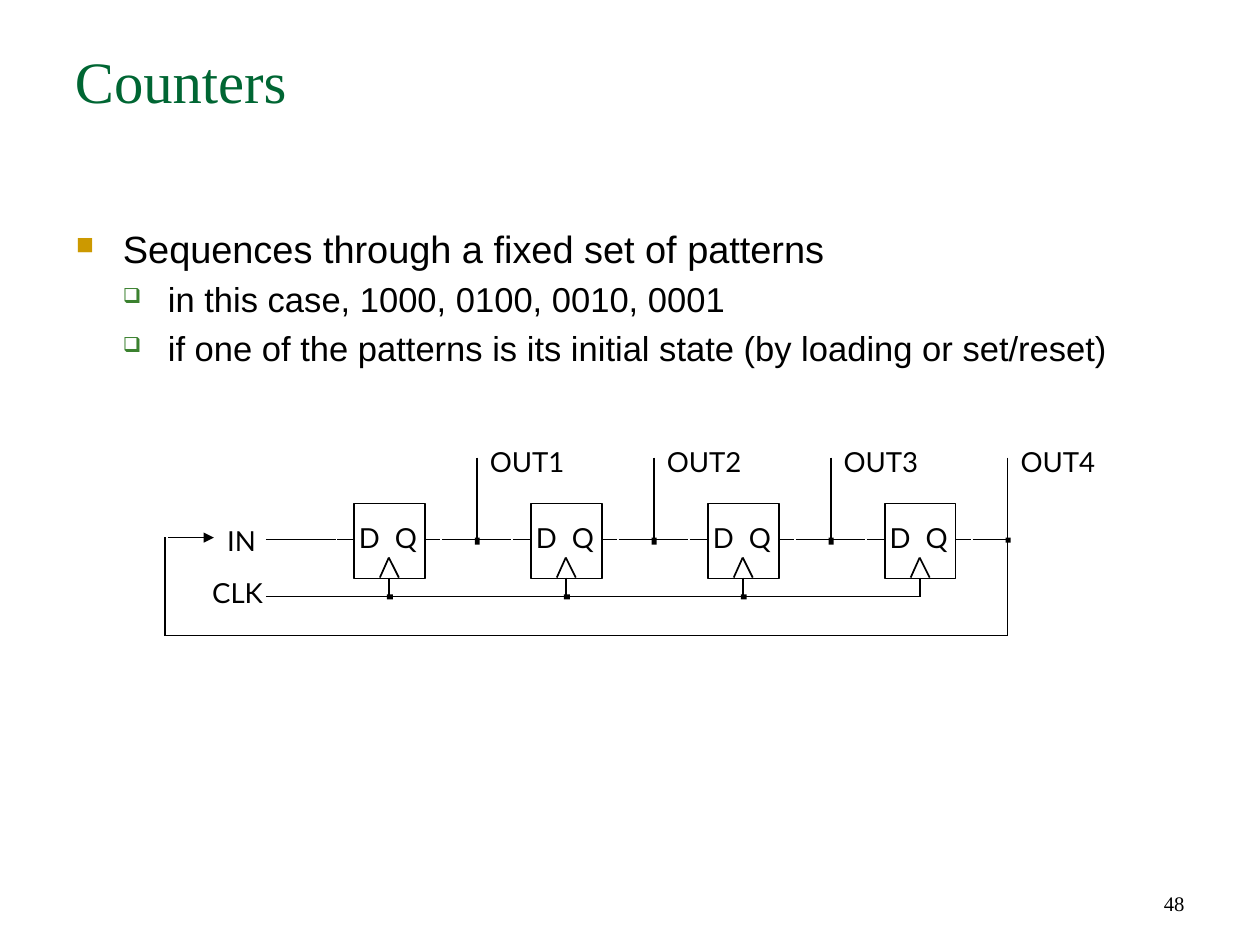
from lxml import etree
from pptx import Presentation
from pptx.dml.color import RGBColor
from pptx.enum.shapes import MSO_CONNECTOR, MSO_SHAPE
from pptx.enum.text import MSO_ANCHOR, PP_ALIGN
from pptx.oxml.ns import qn
from pptx.util import Emu, Inches, Pt

STRAIGHT, RECT = MSO_CONNECTOR.STRAIGHT, MSO_SHAPE.RECTANGLE
TOP, BOTTOM = MSO_ANCHOR.TOP, MSO_ANCHOR.BOTTOM
LEFT, RIGHT = PP_ALIGN.LEFT, PP_ALIGN.RIGHT

SCALE = 914400 / 124.3
COLORS = {"ink": "000000", "paper": "FFFFFF", "title": "006633",
          "square": "CC9900", "box": "3B812F"}
SERIF, SANS, LABEL = "Times New Roman", "Arial", "Lato"

STAGES, PITCH = 4, 177
FLIP_FLOP_W, FLIP_FLOP_H = 71, 75
LABEL_H = 47
# Format of each outline level: size, left margin, bullet, its colour and percent
LEVELS = [(22, 47, "■", "square", 65), (20, 92, "❑", "box", 60)]
HANGING = [47, 45]
OUTLINE = [(0, "Sequences through a fixed set of patterns"),
           (1, "in this case, 1000, 0100, 0010, 0001"),
           (1, "if one of the patterns is its initial state (by loading or set/reset)")]


def px(length):
    """Turn pixels into EMU."""
    return Emu(round(length * SCALE))


def color(key):
    """Look up a named colour."""
    return RGBColor.from_string(COLORS[key])


def apply(target, formats):
    """Set each attribute of target from a dict."""
    for attribute, value in formats.items():
        setattr(target, attribute, value)


def add_frame(slide, box, pad, anchor=TOP):
    """Add a text box with equal side and end insets; return its frame."""
    frame = slide.shapes.add_textbox(*map(px, box)).text_frame
    side, end = map(px, pad)
    apply(frame, {"word_wrap": True, "vertical_anchor": anchor,
                  "margin_left": side, "margin_right": side,
                  "margin_top": end, "margin_bottom": end})
    return frame


def write(paragraph, text, font, size, ink="ink", **formats):
    """Write one run and set the paragraph's formats."""
    run = paragraph.add_run()
    run.text = text
    apply(run.font, {"name": font, "size": Pt(size)})
    run.font.color.rgb = color(ink)
    apply(paragraph, formats)


def add_label(slide, box, text, align=LEFT):
    """Add a circuit label."""
    frame = add_frame(slide, box, (2, 4))
    write(frame.paragraphs[0], text, LABEL, 16,
          alignment=align, line_spacing=Pt(17))


def add_wire(slide, x1, y1, x2, y2, arrow=False):
    """Add a thin straight wire, with an arrowhead at its end if asked."""
    wire = slide.shapes.add_connector(STRAIGHT, *map(px, (x1, y1, x2, y2)))
    wire.line.width = Pt(1)
    wire.line.color.rgb = color("ink")
    if arrow:
        etree.SubElement(wire.line._get_or_add_ln(), qn("a:tailEnd"), type="triangle")
    etree.SubElement(wire._element.spPr, qn("a:effectLst"))


def add_block(slide, box, fill, outlined=False):
    """Add a filled rectangle."""
    block = slide.shapes.add_shape(RECT, *map(px, box))
    block.shadow.inherit = False
    block.fill.solid()
    block.fill.fore_color.rgb = color(fill)
    if outlined:
        block.line.width = Pt(1)
        block.line.color.rgb = color("ink")
    else:
        block.line.fill.background()


def add_heading(slide, box):
    """Add the slide title."""
    write(add_frame(slide, box, (12, 6)).paragraphs[0],
          "Counters", SERIF, 34, "title")


def add_outline(slide, box):
    """Add the bulleted statements."""
    frame = add_frame(slide, box, (12, 6))
    for number, (level, text) in enumerate(OUTLINE):
        paragraph = frame.add_paragraph() if number else frame.paragraphs[0]
        size, margin, bullet, tint, percent = LEVELS[level]
        write(paragraph, text, SANS, size, level=level, space_before=Pt(size * 0.2))
        props = paragraph._p.get_or_add_pPr()
        props.set("marL", str(px(margin)))
        props.set("indent", str(-px(HANGING[level])))
        bullet_color = etree.SubElement(props, qn("a:buClr"))
        etree.SubElement(bullet_color, qn("a:srgbClr"), val=COLORS[tint])
        etree.SubElement(props, qn("a:buSzPct"), val=str(percent * 1000))
        etree.SubElement(props, qn("a:buChar"), char=bullet)


def add_flip_flop(slide, box):
    """Add a D flip-flop with its clock notch."""
    left, top, width, height = box
    bottom, tip = top + height - 1, left + 35
    add_block(slide, box, "paper", outlined=True)
    for foot in (tip - 9, tip + 10):
        add_wire(slide, foot, bottom, tip, top + 54)
    for offset, pin in ((3, "D"), (39, "Q")):
        add_label(slide, (left + offset, top + 17, 34, LABEL_H), pin)


def add_ring_counter(slide, box):
    """Add the chain of flip-flops with its clock and feedback wires."""
    left, top, width, height = box
    data, clock, feedback = top + 95, top + 152, top + height
    source, first, last_out = left + 101, left + 189, left + 843

    for start, end in ((0, 70), (71, 87)):
        add_wire(slide, source + start, data, source + end, data)
    clock_from = source
    for stage in range(STAGES):
        last = stage == STAGES - 1
        x = first + stage * PITCH
        stem, out = x + 35, x + 123
        add_flip_flop(slide, (x, top + 59, FLIP_FLOP_W, FLIP_FLOP_H))
        segments = [(71, 86), (88, 122)] + ([] if last else [(124, 157), (159, 176)])
        for start, end in segments:
            add_wire(slide, x + start, data, x + end, data)
        add_wire(slide, out, top + 13, out, data)
        add_block(slide, (out - 2, data - 2, 5, 5 if last else 7), "ink")
        add_label(slide, (out + 11, top, 100, LABEL_H), f"OUT{stage + 1}")
        add_wire(slide, stem, top + 133, stem, clock)
        add_wire(slide, clock_from, clock, stem, clock)
        if not last:
            add_block(slide, (stem - 2, clock - 2, 6, 5), "ink")
        clock_from = stem + 1

    add_wire(slide, last_out, data, last_out, feedback)
    add_wire(slide, last_out, feedback, left, feedback)
    add_wire(slide, left, feedback, left, top + 92)
    add_wire(slide, left + 3, top + 93, left + 49, top + 93, arrow=True)
    for y, name, right in ((79, "IN", 93), (131, "CLK", 100)):
        add_label(slide, (left + right - 72, top + y, 72, LABEL_H), name, RIGHT)


def add_page_number(slide, box):
    """Add the page number at the lower right."""
    frame = add_frame(slide, box, (12, 6), BOTTOM)
    write(frame.paragraphs[0], "48", SERIF, 12, alignment=RIGHT)


deck = Presentation()
apply(deck, {"slide_width": Inches(10.14), "slide_height": Inches(7.6)})
counters = deck.slides.add_slide(deck.slide_layouts[6])
add_page_number(counters, (902, 859, 295, 63))
add_ring_counter(counters, (165, 445, 930, 191))
add_heading(counters, (63, 39, 1134, 157))
add_outline(counters, (64, 220, 1134, 624))
deck.save("out.pptx")
